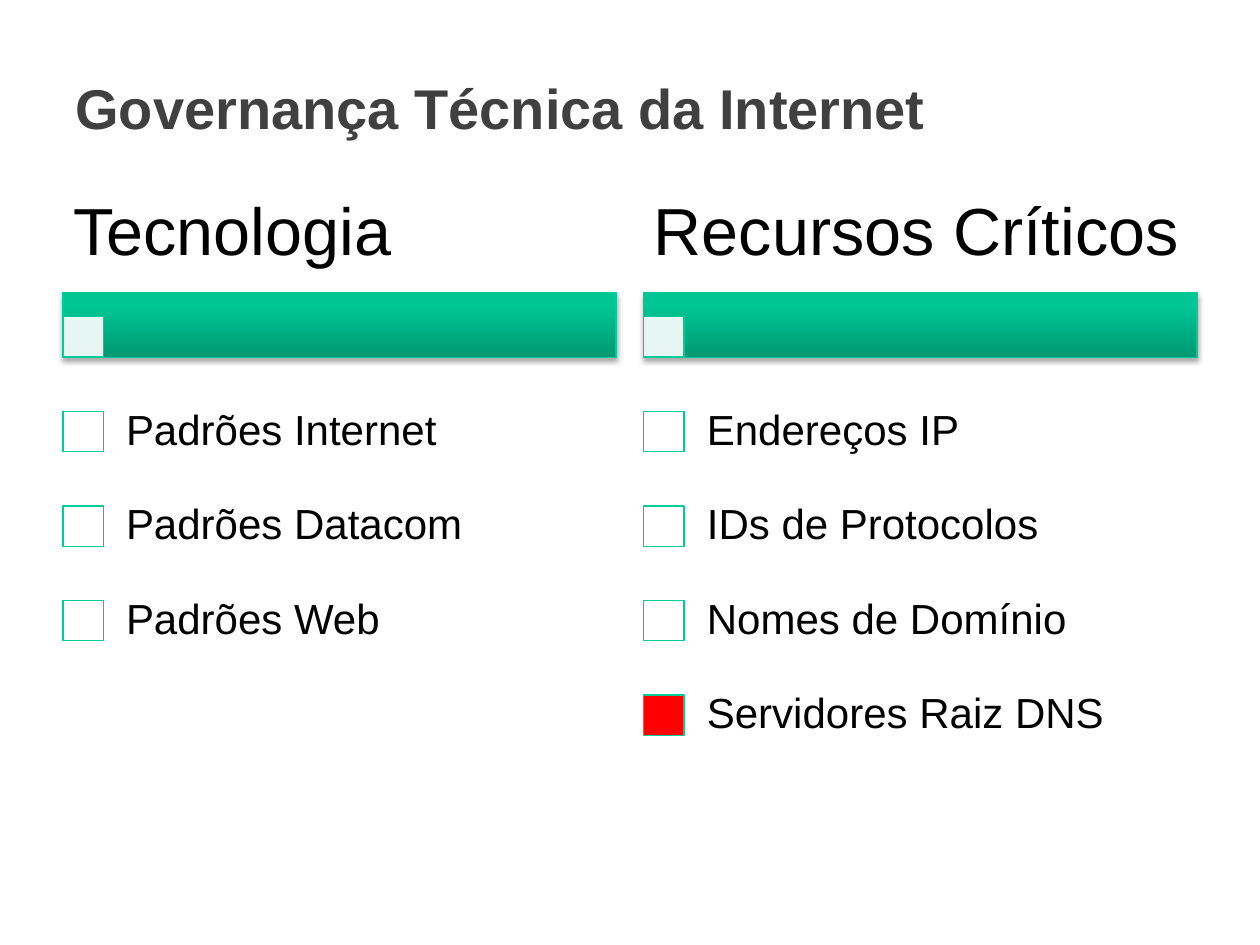
import lxml.etree
import pptx
import pptx.dml.color
import pptx.enum.shapes
import pptx.enum.text
import pptx.oxml.ns
import pptx.util

Inches = pptx.util.Inches
RGBColor = pptx.dml.color.RGBColor
Anchor = pptx.enum.text.MSO_ANCHOR

WHITE = RGBColor(0xFF, 0xFF, 0xFF)
BLACK = RGBColor(0x00, 0x00, 0x00)
GRAY = RGBColor(0x40, 0x40, 0x40)
RED = RGBColor(0xFF, 0x00, 0x00)
GREEN = RGBColor(0x00, 0xCC, 0x99)
BAR_STOPS = (
    (0, RGBColor(0x00, 0x98, 0x72)),
    (80, RGBColor(0x00, 0xC6, 0x94)),
    (100, RGBColor(0x00, 0xC7, 0x95)),
)

MARKER = 0.32
ROW = 0.75
HEADING_HEIGHT = 0.93
BAR_HEIGHT = 0.52
BAR_TO_ROWS = 0.21


def add_xml(parent, tag, **attributes):
    child = lxml.etree.SubElement(parent, pptx.oxml.ns.qn(tag))
    for name, value in attributes.items():
        child.set(name, str(value))
    return child


def add_text(page, text, left, top, width, height, *, size, color=BLACK, bold=False,
             anchor=Anchor.MIDDLE, inset=(0.08, 0.05), spacing=0.9):
    box = page.shapes.add_textbox(Inches(left), Inches(top), Inches(width), Inches(height))
    frame = box.text_frame
    frame.word_wrap = True
    frame.vertical_anchor = anchor
    frame.margin_left = frame.margin_right = Inches(inset[0])
    frame.margin_top = frame.margin_bottom = Inches(inset[1])
    para = frame.paragraphs[0]
    para.line_spacing = spacing
    span = para.add_run()
    span.text = text
    span.font.name = "Arial"
    span.font.size = pptx.util.Pt(size)
    span.font.bold = bold
    span.font.color.rgb = color


def add_rectangle(page, left, top, width, height, color=WHITE):
    shape = page.shapes.add_shape(pptx.enum.shapes.MSO_SHAPE.RECTANGLE, Inches(left),
                                  Inches(top), Inches(width), Inches(height))
    shape.shadow.inherit = False
    shape.fill.solid()
    shape.fill.fore_color.rgb = color
    shape.line.color.rgb = GREEN
    shape.line.width = pptx.util.Pt(0.75)
    return shape


def add_bar(page, left, top, width):
    bar = add_rectangle(page, left, top, width, BAR_HEIGHT)
    # Three-stop gradient, darkest at the bottom
    bar.fill.gradient()
    bar.fill.gradient_angle = 90
    stops = bar.element.spPr.find(".//" + pptx.oxml.ns.qn("a:gsLst"))
    for stop in list(stops):
        stops.remove(stop)
    for position, color in BAR_STOPS:
        stop = add_xml(stops, "a:gs", pos=position * 1000)
        add_xml(stop, "a:srgbClr", val=color)
    # Soft shadow below
    effects = bar.element.spPr.find(pptx.oxml.ns.qn("a:effectLst"))
    shadow = add_xml(effects, "a:outerShdw", blurRad=pptx.util.Pt(3.1),
                     dist=pptx.util.Pt(1.8), dir=5400000, rotWithShape=0)
    add_xml(add_xml(shadow, "a:srgbClr", val=BLACK), "a:alpha", val=35000)
    # Translucent square in the lower left corner
    square = add_rectangle(page, left, top + BAR_HEIGHT - MARKER - 0.01, MARKER, MARKER)
    color = square.element.spPr.find(".//" + pptx.oxml.ns.qn("a:srgbClr"))
    add_xml(color, "a:alpha", val=90000)


def add_title(page, left, top, width, height):
    add_text(page, "Governança Técnica da Internet", left, top, width, height, size=32,
             color=GRAY, bold=True, anchor=Anchor.BOTTOM, inset=(0.1, 0.05), spacing=0.93)


def add_column(page, heading, items, left, top, width):
    bar_top = top + HEADING_HEIGHT
    add_bar(page, left, bar_top, width)
    add_text(page, heading, left, top, width, HEADING_HEIGHT, size=38)
    # Rows of a marker and its label
    rows_top = bar_top + BAR_HEIGHT + BAR_TO_ROWS
    label_offset = MARKER - 0.01
    for index, (label, color) in enumerate(items):
        row_top = rows_top + index * ROW
        add_rectangle(page, left, row_top + (ROW - MARKER) / 2, MARKER, MARKER, color)
        add_text(page, label, left + label_offset, row_top, width - label_offset, ROW,
                 size=24, inset=(0.19, 0.19))


def main():
    deck = pptx.Presentation()
    deck.slide_width = Inches(10)
    deck.slide_height = Inches(7.5)
    page = deck.slides.add_slide(deck.slide_layouts[6])

    add_title(page, 0.5, 0, 9, 1.18)
    columns = (
        ("Tecnologia", (("Padrões Internet", WHITE), ("Padrões Datacom", WHITE),
                        ("Padrões Web", WHITE))),
        ("Recursos Críticos", (("Endereços IP", WHITE), ("IDs de Protocolos", WHITE),
                               ("Nomes de Domínio", WHITE), ("Servidores Raiz DNS", RED))),
    )
    width, gap = 4.39, 0.22
    for index, (heading, items) in enumerate(columns):
        add_column(page, heading, items, 0.5 + index * (width + gap), 1.39, width)

    deck.save("out.pptx")


if __name__ == "__main__":
    main()
